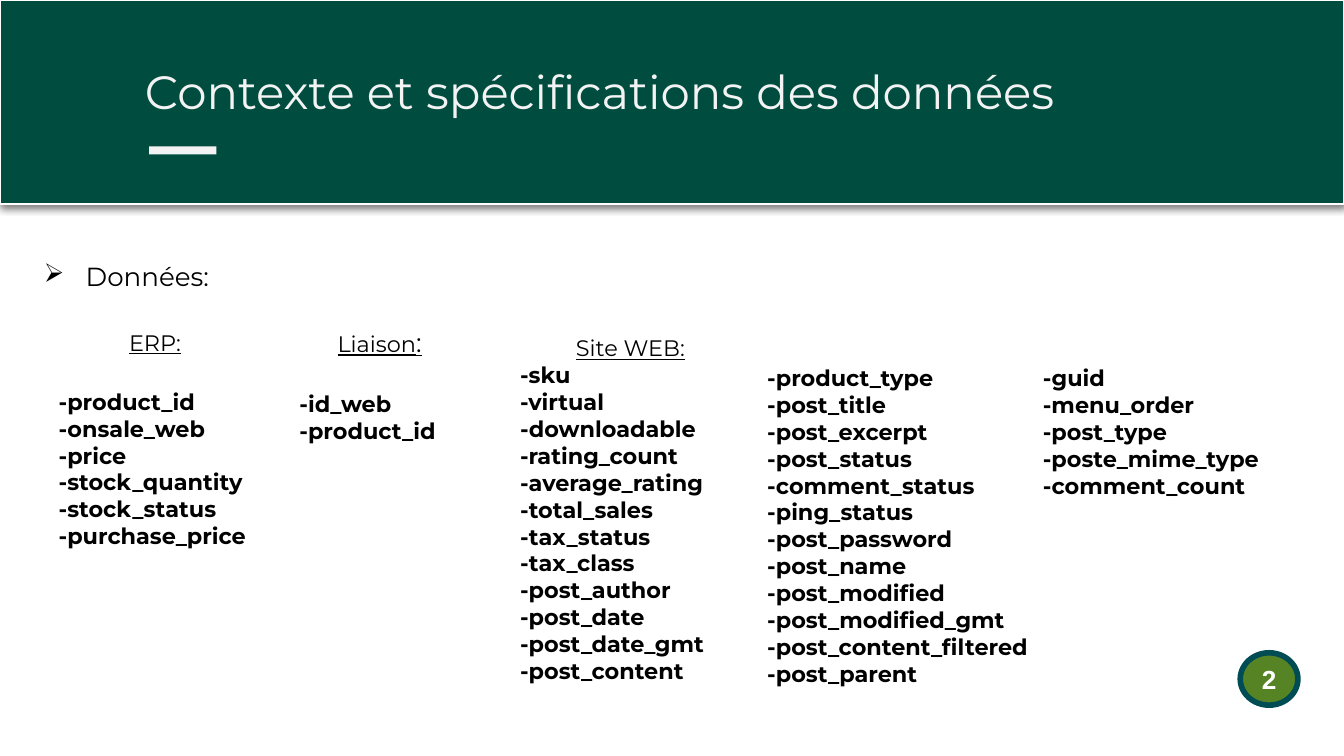
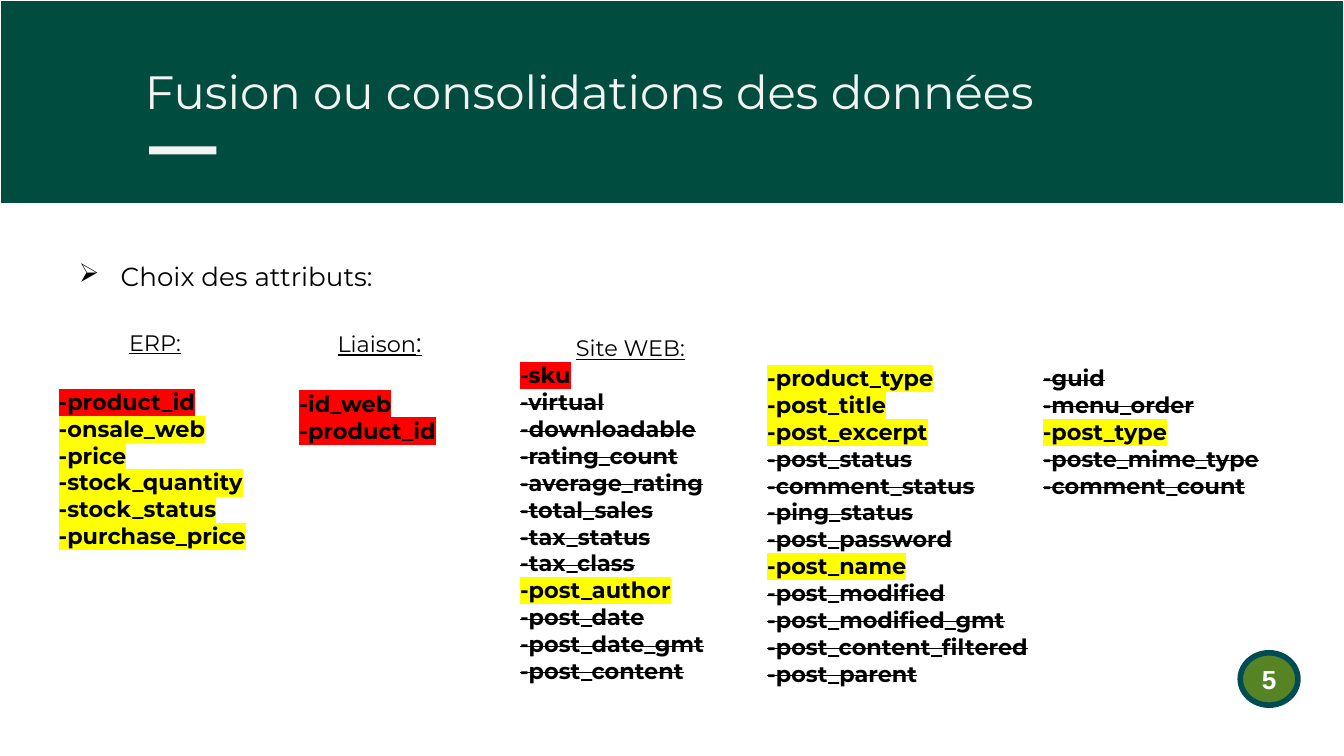
"""Build two slides on the data sources and the choice of their attributes."""
from dataclasses import dataclass
from typing import Optional

from lxml import etree
from pptx import Presentation
from pptx import util as u
from pptx.dml.color import RGBColor
from pptx.enum import shapes, text
from pptx.oxml.ns import qn

GREEN = RGBColor(0x00, 0x4D, 0x40)
LEAF = RGBColor(0x56, 0x84, 0x24)
TEAL = RGBColor(0x00, 0x4C, 0x54)
PALE = RGBColor(0xF3, 0xF3, 0xF3)
WHITE = RGBColor(0xFF, 0xFF, 0xFF)
BLACK = RGBColor(0x00, 0x00, 0x00)
RED = RGBColor(0xFF, 0x00, 0x00)
YELLOW = RGBColor(0xFF, 0xFF, 0x00)
FONT = "Montserrat"


@dataclass(frozen=True)
class Box:
    """Position and size in centimetres."""

    left: float
    top: float
    width: float
    height: float

    def lengths(self) -> tuple:
        """Return the four lengths that python-pptx expects."""
        return tuple(u.Cm(v) for v in (self.left, self.top, self.width, self.height))


@dataclass(frozen=True)
class Column:
    """List of attributes, with an optional heading."""

    box: Box
    attributes: str
    heading: str = ""
    colon_size: float = 12
    gap: float = 0


@dataclass(frozen=True)
class Page:
    """What differs from one slide to the other."""

    title: str
    topic: str
    topic_box: Box
    number: int
    marked: bool = False
    band_shadow: bool = False


BAND = Box(0, 0, 25.4, 3.86)
TITLE = Box(2.49, 0.94, 23.67, 1.6)
ACCENT = Box(2.82, 2.77, 1.27, 0.15)
BADGE = Box(23.44, 12.34, 1.09, 0.99)

COLUMNS = (
    Column(Box(0.86, 6.1, 4.14, 4.52),
           "product_id onsale_web price stock_quantity stock_status purchase_price",
           "ERP", gap=0.6),
    Column(Box(5.41, 6.05, 3.53, 2.49), "id_web product_id",
           "Liaison", colon_size=14, gap=0.6),
    Column(Box(14.25, 6.76, 5.46, 7.01),
           "product_type post_title post_excerpt post_status comment_status "
           "ping_status post_password post_name post_modified post_modified_gmt "
           "post_content_filtered post_parent"),
    Column(Box(9.58, 6.2, 4.67, 8.38),
           "sku virtual downloadable rating_count average_rating total_sales "
           "tax_status tax_class post_author post_date post_date_gmt post_content",
           "Site WEB"),
    Column(Box(19.46, 6.76, 5.66, 3.43),
           "guid menu_order post_type poste_mime_type comment_count"),
)
KEYS = {"product_id", "id_web", "sku"}
KEPT = {"onsale_web", "price", "stock_quantity", "stock_status", "purchase_price",
        "product_type", "post_title", "post_excerpt", "post_name", "post_author",
        "post_type"}

PAGES = (
    Page("Contexte et spécifications des données", "Données:",
         Box(0.58, 4.8, 14.5, 0.86), 2, band_shadow=True),
    Page("Fusion ou consolidations des données", "Choix des attributs:",
         Box(1.24, 4.8, 13.74, 0.86), 5, marked=True),
)


def add_run(p, content: str, *, size: float = 12, font: str = FONT,
            color: RGBColor = BLACK, bold: bool = False, underline: bool = False,
            strike: bool = False, highlight: Optional[RGBColor] = None) -> None:
    """Add a formatted run to a paragraph."""
    r = p.add_run()
    r.text = content
    r.font.size, r.font.name = u.Pt(size), font
    r.font.bold, r.font.underline = bold, underline
    r.font.color.rgb = color
    props = r.font._element
    if strike:
        props.set("strike", "sngStrike")
    if highlight is not None:
        mark = etree.Element(qn("a:highlight"))
        etree.SubElement(mark, qn("a:srgbClr"), val=str(highlight))
        props.find(qn("a:solidFill")).addnext(mark)


def add_text(s, box: Box, grow: bool = True):
    """Add a wrapping text box and return its text frame."""
    tf = s.shapes.add_textbox(*box.lengths()).text_frame
    tf.word_wrap = True
    if grow:
        tf.auto_size = text.MSO_AUTO_SIZE.SHAPE_TO_FIT_TEXT
    return tf


def add_block(s, kind: shapes.MSO_SHAPE, box: Box, fill: RGBColor,
              line: Optional[RGBColor] = None, width: float = 0):
    """Add a filled preset shape without a shadow."""
    sp = s.shapes.add_shape(kind, *box.lengths())
    sp.shadow.inherit = False
    sp.fill.solid()
    sp.fill.fore_color.rgb = fill
    if line is None:
        sp.line.fill.background()
    else:
        sp.line.color.rgb = line
        sp.line.width = u.Pt(width)
    return sp


def cast_shadow(sp) -> None:
    """Put a soft half-transparent shadow below a shape."""
    effects = sp._element.spPr.find(qn("a:effectLst"))
    shadow = etree.SubElement(effects, qn("a:outerShdw"), blurRad=str(u.Pt(4.5)),
                              dist=str(u.Pt(1.5)), dir="5400000",
                              algn="t", rotWithShape="0")
    color = etree.SubElement(shadow, qn("a:srgbClr"), val=str(BLACK))
    etree.SubElement(color, qn("a:alpha"), val="50000")


def draw_header(s, page: Page) -> None:
    """Draw the band, the title and its accent bar."""
    band = add_block(s, shapes.MSO_SHAPE.RECTANGLE, BAND, GREEN, WHITE, 0.75)
    if page.band_shadow:
        cast_shadow(band)
    tf = add_text(s, TITLE, grow=False)
    tf.margin_top = tf.margin_bottom = u.Cm(0.25)
    add_run(tf.paragraphs[0], page.title, size=25, color=PALE)
    add_block(s, shapes.MSO_SHAPE.RECTANGLE, ACCENT, PALE)


def draw_badge(s, number: int) -> None:
    """Draw the slide number in its ellipse."""
    sp = add_block(s, shapes.MSO_SHAPE.OVAL, BADGE, LEAF, TEAL, 3)
    tf = sp.text_frame
    tf.word_wrap = False
    tf.vertical_anchor = text.MSO_ANCHOR.MIDDLE
    p = tf.paragraphs[0]
    p.alignment = text.PP_ALIGN.CENTER
    add_run(p, str(number), size=14, font="Arial", color=WHITE, bold=True)


def draw_topic(s, topic: str, box: Box) -> None:
    """Draw the bulleted topic line."""
    p = add_text(s, box).paragraphs[0]
    props = p._p.get_or_add_pPr()
    props.set("marL", str(u.Cm(0.79)))
    props.set("indent", str(-u.Cm(0.79)))
    color = etree.SubElement(props, qn("a:buClr"))
    etree.SubElement(color, qn("a:srgbClr"), val=str(BLACK))
    etree.SubElement(props, qn("a:buChar"), char="➢")
    add_run(p, topic, size=14)


def mark_of(attribute: str) -> dict:
    """Return the format that shows whether an attribute is a key, kept or dropped."""
    if attribute in KEYS:
        return {"highlight": RED}
    if attribute in KEPT:
        return {"highlight": YELLOW}
    return {"strike": True}


def draw_column(s, column: Column, marked: bool) -> None:
    """Draw a heading and the attributes below it."""
    tf = add_text(s, column.box)
    p = tf.paragraphs[0]
    if column.heading:
        p.alignment = text.PP_ALIGN.CENTER
        p.space_after = u.Cm(column.gap)
        add_run(p, column.heading, underline=True)
        add_run(p, ":", size=column.colon_size, underline=True)
    for i, attribute in enumerate(column.attributes.split()):
        if i or column.heading:
            p = tf.add_paragraph()
        add_run(p, f"-{attribute}", bold=True, **(mark_of(attribute) if marked else {}))


def main() -> None:
    """Build and save the presentation."""
    prs = Presentation()
    prs.slide_width, prs.slide_height = u.Cm(25.4), u.Cm(14.29)
    for page in PAGES:
        s = prs.slides.add_slide(prs.slide_layouts[6])
        draw_header(s, page)
        draw_badge(s, page.number)
        draw_topic(s, page.topic, page.topic_box)
        for column in COLUMNS:
            draw_column(s, column, page.marked)
    prs.save("out.pptx")


if __name__ == "__main__":
    main()
